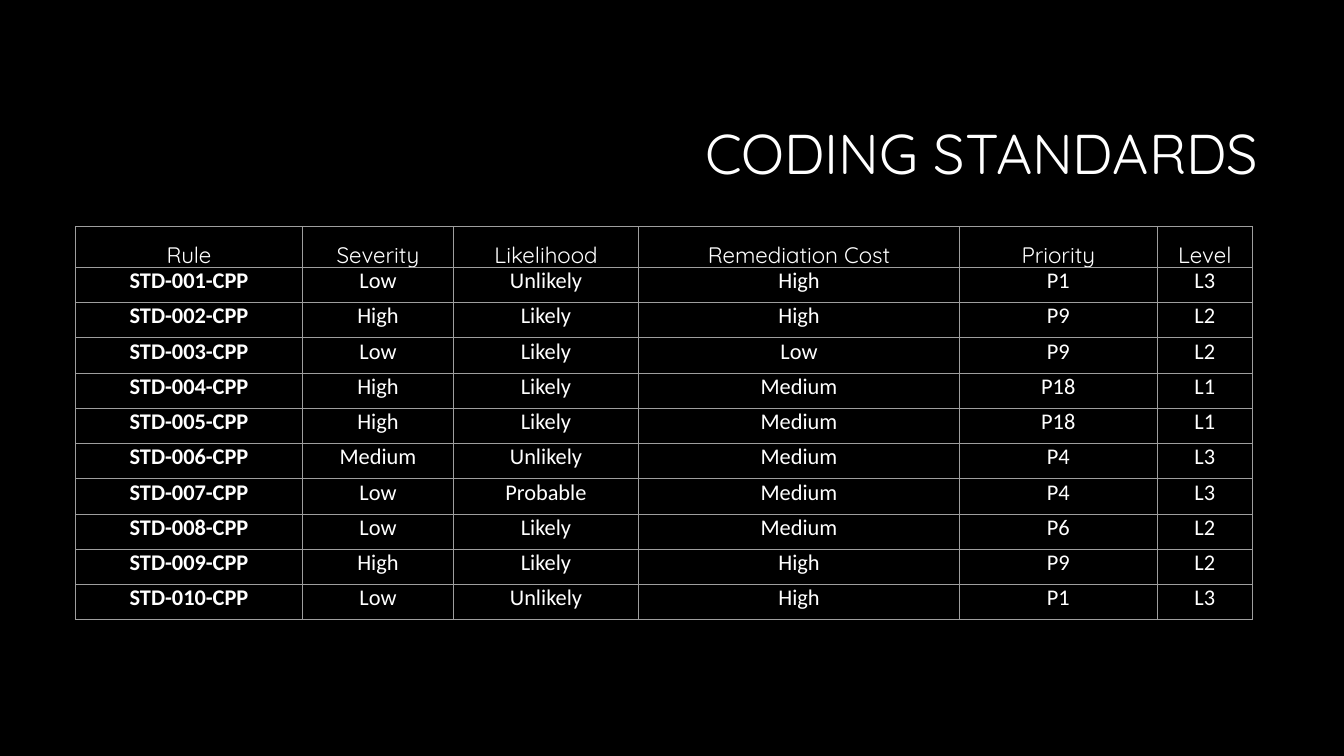
from lxml import etree
from pptx import Presentation
from pptx.dml.color import RGBColor
from pptx.enum.text import MSO_ANCHOR, PP_ALIGN
from pptx.oxml.ns import qn
from pptx.util import Pt

EMU_PER_PX = 9525
BLACK = RGBColor(0x00, 0x00, 0x00)
WHITE = RGBColor(0xFF, 0xFF, 0xFF)
GREY = RGBColor(0x9E, 0x9E, 0x9E)
CENTER = PP_ALIGN.CENTER
RIGHT = PP_ALIGN.RIGHT
TOP = MSO_ANCHOR.TOP
MIDDLE = MSO_ANCHOR.MIDDLE
BORDER_WIDTH = Pt(0.75)

TITLE_FONT = {"name": "Quicksand", "size": Pt(40), "bold": False}
HEADER_FONT = {"name": "Quicksand", "size": Pt(16), "bold": False}
RULE_FONT = {"name": "Calibri", "size": Pt(16), "bold": True}
VALUE_FONT = {"name": "Calibri", "size": Pt(16), "bold": False}

COLUMN_WIDTHS = [216, 144, 176, 306, 188, 91]
TABLE_HEIGHT = 370
HEADERS = ["Rule", "Severity", "Likelihood", "Remediation Cost", "Priority", "Level"]
RATINGS = [
    ["Low", "Unlikely", "High", "P1", "L3"],
    ["High", "Likely", "High", "P9", "L2"],
    ["Low", "Likely", "Low", "P9", "L2"],
    ["High", "Likely", "Medium", "P18", "L1"],
    ["High", "Likely", "Medium", "P18", "L1"],
    ["Medium", "Unlikely", "Medium", "P4", "L3"],
    ["Low", "Probable", "Medium", "P4", "L3"],
    ["Low", "Likely", "Medium", "P6", "L2"],
    ["High", "Likely", "High", "P9", "L2"],
    ["Low", "Unlikely", "High", "P1", "L3"],
]


def px(length):
    return length * EMU_PER_PX


def set_attributes(target, values):
    for name, value in values.items():
        setattr(target, name, value)


def write_text(frame, text, font, alignment, line_spacing):
    para = frame.paragraphs[0]
    set_attributes(para, {"alignment": alignment, "line_spacing": line_spacing})
    span = para.add_run()
    span.text = text
    set_attributes(span.font, font)
    span.font.color.rgb = WHITE


def add_title(page, text):
    box = page.shapes.add_textbox(px(304), px(81), px(904), px(135))
    set_attributes(box.text_frame, {"word_wrap": True, "vertical_anchor": MIDDLE})
    write_text(box.text_frame, text, TITLE_FONT, RIGHT, 0.9)


def add_borders(cell):
    properties = cell._tc.get_or_add_tcPr()
    for side in ("a:lnL", "a:lnR", "a:lnT", "a:lnB"):
        line = etree.SubElement(properties, qn(side), w=str(BORDER_WIDTH))
        fill = etree.SubElement(line, qn("a:solidFill"))
        etree.SubElement(fill, qn("a:srgbClr"), val=str(GREY))


def format_cell(cell, text, font, line_spacing):
    set_attributes(cell, {
        "margin_left": px(7), "margin_right": px(7),
        "margin_top": 0, "margin_bottom": 0, "vertical_anchor": TOP,
    })
    add_borders(cell)
    cell.fill.solid()
    cell.fill.fore_color.rgb = BLACK
    write_text(cell.text_frame, text, font, CENTER, line_spacing)


def add_standards_table(page):
    rows = [HEADERS] + [
        [f"STD-{number:03}-CPP", *ratings]
        for number, ratings in enumerate(RATINGS, start=1)
    ]
    table = page.shapes.add_table(
        len(rows), len(HEADERS),
        px(72), px(216), px(sum(COLUMN_WIDTHS)), px(TABLE_HEIGHT),
    ).table
    set_attributes(table, {"first_row": False, "horz_banding": False})
    for column, width in zip(table.columns, COLUMN_WIDTHS):
        column.width = px(width)
    for row_index, texts in enumerate(rows):
        for column_index, text in enumerate(texts):
            cell = table.cell(row_index, column_index)
            if row_index == 0:
                format_cell(cell, text, HEADER_FONT, 1.5)
            else:
                font = RULE_FONT if column_index == 0 else VALUE_FONT
                format_cell(cell, text, font, 1.0)


def main():
    deck = Presentation()
    set_attributes(deck, {"slide_width": px(1280), "slide_height": px(720)})
    page = deck.slides.add_slide(deck.slide_layouts[6])
    page.background.fill.solid()
    page.background.fill.fore_color.rgb = BLACK
    add_title(page, "CODING STANDARDS")
    add_standards_table(page)
    deck.save("out.pptx")


if __name__ == "__main__":
    main()
